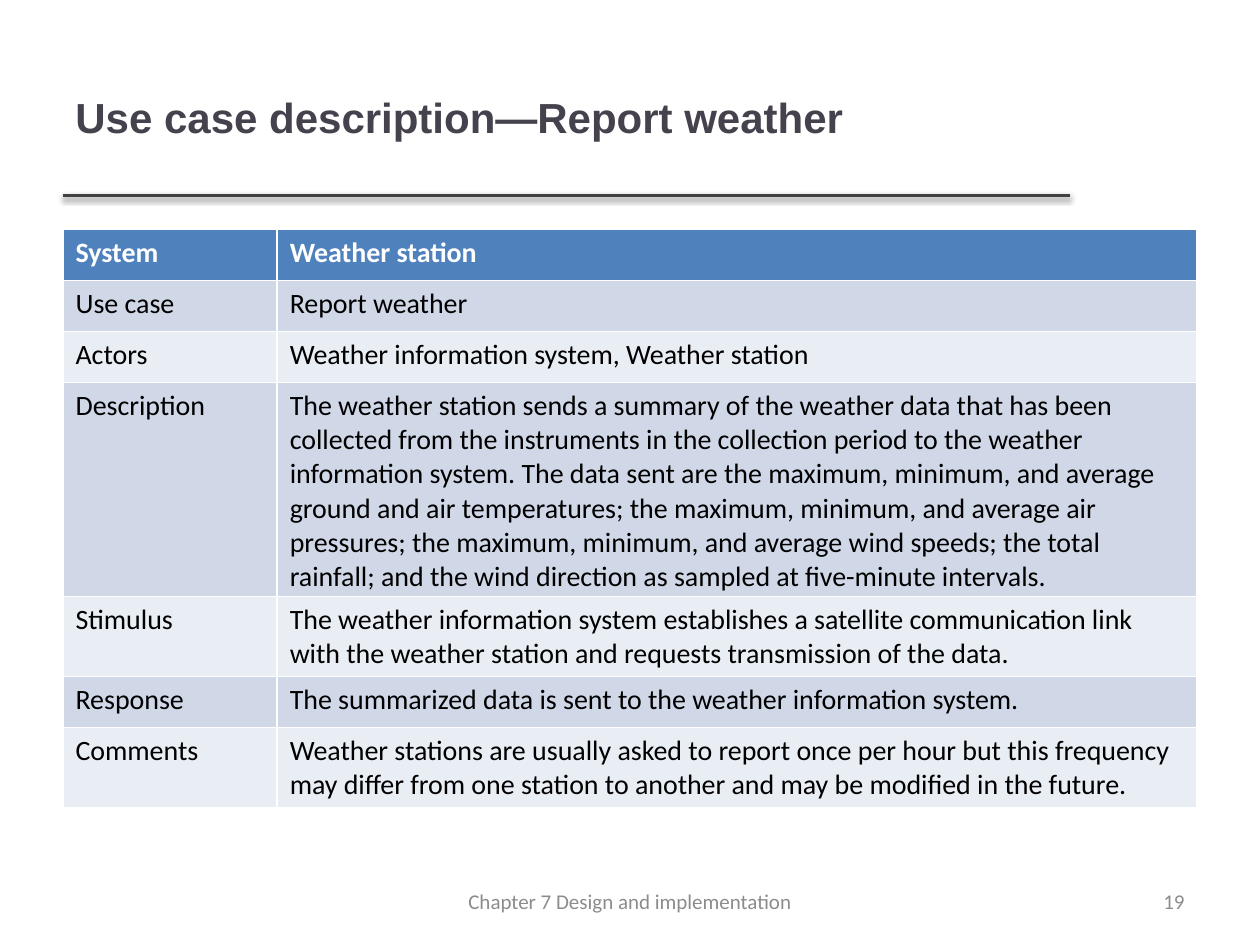
import pptx
import pptx.util
import pptx.dml.color
import pptx.enum.shapes
import pptx.enum.text
import pptx.oxml

Pt = pptx.util.Pt
ALIGN = pptx.enum.text.PP_ALIGN

# Content
TITLE = "Use case description—Report weather"
FOOTER = "Chapter 7 Design and implementation"
PAGE_NUMBER = "19"
USE_CASE = [
    ("System", "Weather station"),
    ("Use case", "Report weather"),
    ("Actors", "Weather information system, Weather station"),
    ("Description",
     "The weather station sends a summary of the weather data that has been "
     "collected from the instruments in the collection period to the weather "
     "information system. The data sent are the maximum, minimum, and average "
     "ground and air temperatures; the maximum, minimum, and average air "
     "pressures; the maximum, minimum, and average wind speeds; the total "
     "rainfall; and the wind direction as sampled at five-minute intervals."),
    ("Stimulus",
     "The weather information system establishes a satellite communication "
     "link with the weather station and requests transmission of the data."),
    ("Response",
     "The summarized data is sent to the weather information system."),
    ("Comments",
     "Weather stations are usually asked to report once per hour but this "
     "frequency may differ from one station to another and may be modified "
     "in the future."),
]

THEME = {
    "title": ("Arial", 24, "46424D", True),
    "header": ("Calibri", 16, "FFFFFF", True),
    "body": ("Calibri", 16, "000000", False),
    "footer": ("Calibri", 12, "8C8C8C", False),
    "header_fill": "4F81BD",
    "bands": ("E9EDF4", "D0D8E8"),
    "rule": "404040",
}

# Layout, in points
SLIDE_WIDTH, SLIDE_HEIGHT = 720, 540
MARGIN = 36
RULE_Y, RULE_END = 111.6, 611.3
TABLE_TOP, TABLE_HEIGHT = 131, 330.5
COLUMN_WIDTHS = (122.4, 525.6)
ROW_HEIGHT = 29.2  # minimum; rows grow with their text
FOOTER_TOP, FOOTER_HEIGHT = 500.5, 28.75

SHADOW = (
    '<a:effectLst xmlns:a="http://schemas.openxmlformats.org/drawingml/2006/main">'
    '<a:outerShdw blurRad="39370" dist="20320" dir="5400000" rotWithShape="0">'
    '<a:srgbClr val="000000"><a:alpha val="38000"/></a:srgbClr>'
    '</a:outerShdw></a:effectLst>'
)


def rgb(value):
    return pptx.dml.color.RGBColor.from_string(value)


def write(text_frame, text, style, align=ALIGN.LEFT):
    text_frame.text = text
    paragraph = text_frame.paragraphs[0]
    paragraph.alignment = align
    font = paragraph.runs[0].font
    name, size, colour, font.bold = THEME[style]
    font.name, font.size = name, Pt(size)
    font.color.rgb = rgb(colour)


def add_text(slide, box, text, style, align=ALIGN.LEFT):
    frame = slide.shapes.add_textbox(*map(Pt, box)).text_frame
    frame.word_wrap = True
    frame.vertical_anchor = pptx.enum.text.MSO_ANCHOR.MIDDLE
    write(frame, text, style, align)


def add_rule(slide):
    rule = slide.shapes.add_connector(
        pptx.enum.shapes.MSO_CONNECTOR.STRAIGHT,
        Pt(MARGIN), Pt(RULE_Y), Pt(RULE_END), Pt(RULE_Y))
    rule.line.color.rgb = rgb(THEME["rule"])
    rule.line.width = Pt(2)
    rule._element.spPr.append(pptx.oxml.parse_xml(SHADOW))


def add_use_case_table(slide):
    holder = slide.shapes.add_table(
        len(USE_CASE), len(COLUMN_WIDTHS), Pt(MARGIN), Pt(TABLE_TOP),
        Pt(sum(COLUMN_WIDTHS)), Pt(TABLE_HEIGHT))
    table = holder.table
    for column, width in zip(table.columns, COLUMN_WIDTHS):
        column.width = Pt(width)
    for index, texts in enumerate(USE_CASE):
        table.rows[index].height = Pt(ROW_HEIGHT)
        style = "body" if index else "header"
        fill = THEME["bands"][index % 2] if index else THEME["header_fill"]
        for cell, text in zip(table.rows[index].cells, texts):
            write(cell.text_frame, text, style)
            cell.fill.solid()
            cell.fill.fore_color.rgb = rgb(fill)
    holder.height = Pt(TABLE_HEIGHT)


def main():
    deck = pptx.Presentation()
    deck.slide_width, deck.slide_height = Pt(SLIDE_WIDTH), Pt(SLIDE_HEIGHT)
    slide = deck.slides.add_slide(deck.slide_layouts[6])

    # Title and rule
    add_rule(slide)
    add_text(slide, (MARGIN, 21.6, 574.6, 90), TITLE, "title")

    # Use case
    add_use_case_table(slide)

    # Page number and footer
    add_text(slide, (516, FOOTER_TOP, 168, FOOTER_HEIGHT),
             PAGE_NUMBER, "footer", ALIGN.RIGHT)
    add_text(slide, (246, FOOTER_TOP, 228, FOOTER_HEIGHT),
             FOOTER, "footer", ALIGN.CENTER)

    deck.save("out.pptx")


if __name__ == "__main__":
    main()
